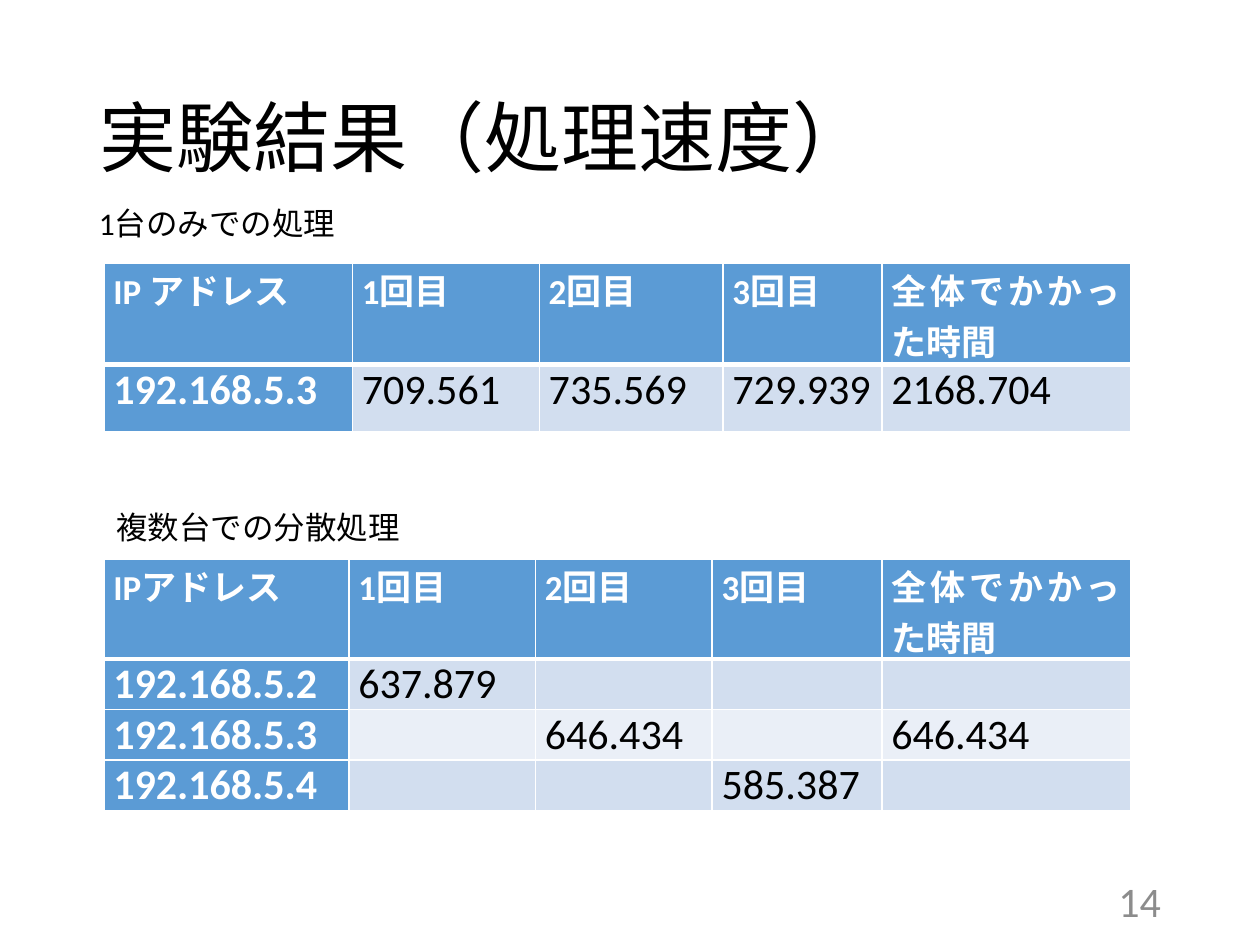
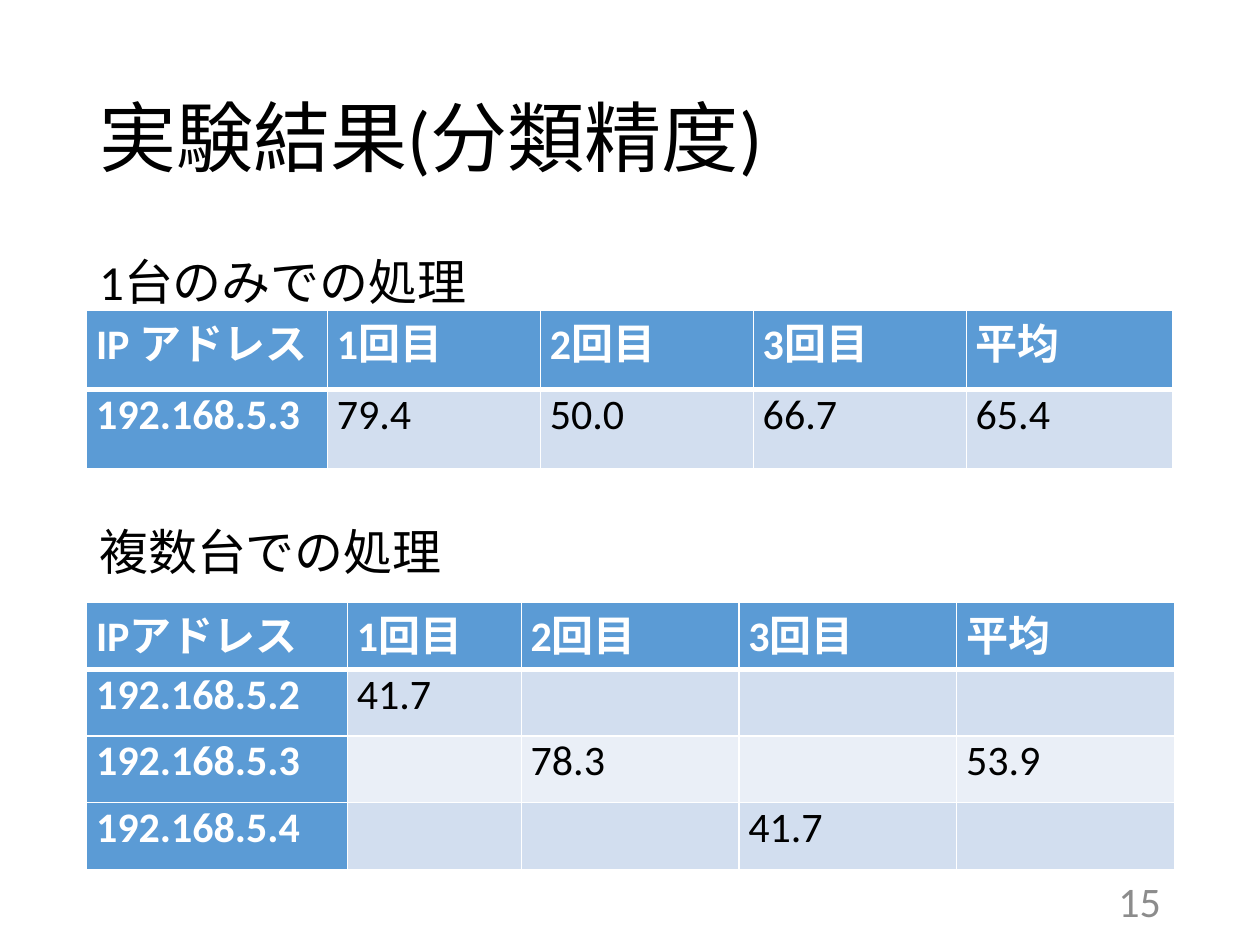
import pptx
import pptx.util
import pptx.dml.color
import pptx.enum.text
import pptx.oxml
import pptx.oxml.ns
from lxml import etree

Pt = pptx.util.Pt
RGB = pptx.dml.color.RGBColor
ALIGN = pptx.enum.text.PP_ALIGN
ANCHOR = pptx.enum.text.MSO_ANCHOR
AUTOSIZE = pptx.enum.text.MSO_AUTO_SIZE
qn = pptx.oxml.ns.qn

BLACK = RGB(0x00, 0x00, 0x00)
WHITE = RGB(0xFF, 0xFF, 0xFF)
GREY = RGB(0x8C, 0x8C, 0x8C)
BLUE = RGB(0x5B, 0x9B, 0xD5)
BANDS = [RGB(0xD2, 0xDE, 0xEF), RGB(0xEA, 0xEF, 0xF7)]
FONT = "Calibri"

TITLE_BOX = (49.5, 28.8, 621, 104.4)
BODY_BOX = (49.5, 143.8, 621, 342.6)
NUMBER_BOX = (508.5, 500.5, 162, 28.8)
TRIALS = ["1回目", "2回目", "3回目"]


def style(p, size, color=BLACK, bold=False, align=ALIGN.LEFT):
    p.alignment = align
    for r in p.runs:
        r.font.name = FONT
        r.font.size = Pt(size)
        r.font.bold = bold
        r.font.color.rgb = color


def place(sp, box):
    sp.left, sp.top, sp.width, sp.height = [Pt(v) for v in box]


def add_title(s, text):
    sp = s.shapes.title
    place(sp, TITLE_BOX)
    tf = sp.text_frame
    tf.text = text
    tf.auto_size = AUTOSIZE.NONE
    tf.vertical_anchor = ANCHOR.MIDDLE
    tf.paragraphs[0].line_spacing = 0.9
    style(tf.paragraphs[0], 44)


def add_text(s, box, text, size, color=BLACK, align=ALIGN.LEFT, anchor=ANCHOR.TOP):
    tf = s.shapes.add_textbox(*[Pt(v) for v in box]).text_frame
    tf.word_wrap = True
    tf.vertical_anchor = anchor
    tf.text = text
    style(tf.paragraphs[0], size, color, align=align)


def add_number(s, number):
    add_text(s, NUMBER_BOX, str(number), 24, GREY, ALIGN.RIGHT, ANCHOR.MIDDLE)


def add_headings(s, headings):
    """Unbulleted body list; each entry is (text, space before)."""
    sp = s.placeholders[1]
    place(sp, BODY_BOX)
    tf = sp.text_frame
    tf.auto_size = AUTOSIZE.NONE
    tf.text = "\n".join(text for text, _ in headings)
    for p, (_, gap) in zip(tf.paragraphs, headings):
        p.line_spacing = 0.9
        p.space_before = Pt(gap)
        style(p, 28)
        pPr = p._p.get_or_add_pPr()
        pPr.set("marL", "0")
        pPr.set("indent", "0")
        etree.SubElement(pPr, qn("a:buNone"))


def set_borders(cell, top, bottom):
    tcPr = cell._tc.get_or_add_tcPr()
    for side, width in (("L", 1), ("R", 1), ("T", top), ("B", bottom)):
        ln = etree.SubElement(tcPr, qn("a:ln" + side), w=str(Pt(width)))
        fill = etree.SubElement(ln, qn("a:solidFill"))
        etree.SubElement(fill, qn("a:srgbClr"), val=str(WHITE))


def add_result_table(s, left, top, widths, heights, rows, head_size):
    table = s.shapes.add_table(len(rows), len(widths), Pt(left), Pt(top),
                               Pt(sum(widths)), Pt(sum(heights))).table
    table.first_col = True
    for col, width in zip(table.columns, widths):
        col.width = Pt(width)
    for i, (row, height) in enumerate(zip(rows, heights)):
        table.rows[i].height = Pt(height)
        for j, text in enumerate(row):
            cell = table.cell(i, j)
            cell.margin_left = cell.margin_right = Pt(5.4)
            cell.margin_top = cell.margin_bottom = 0
            # A thick rule divides the header from the values
            set_borders(cell, 3 if i == 1 else 1, 3 if i == 0 else 1)
            heading = i == 0 or j == 0
            cell.fill.solid()
            cell.fill.fore_color.rgb = BLUE if heading else BANDS[(i - 1) % 2]
            cell.text_frame.text = text
            style(cell.text_frame.paragraphs[0], head_size if i == 0 else 24,
                  WHITE if heading else BLACK, heading, ALIGN.JUSTIFY)


def distributed_rows(last_head, values, overall):
    """One trial per machine, with the overall value beside the second."""
    rows = [["IPアドレス", *TRIALS, last_head]]
    for i, value in enumerate(values):
        row = [f"192.168.5.{i + 2}", "", "", "", ""]
        row[i + 1] = value
        rows.append(row)
    rows[2][4] = overall
    return rows


def single_rows(last_head, values):
    return [["IP アドレス", *TRIALS, last_head], ["192.168.5.3", *values]]


def speed_slide(prs):
    s = prs.slides.add_slide(prs.slide_layouts[5])
    add_title(s, "実験結果（処理速度）")
    add_number(s, 14)
    total = "全体でかかった時間"
    add_text(s, (49.5, 113, 587, 29), "1台のみでの処理", 18)
    add_result_table(s, 59.4, 150.6, [142, 106.8, 105, 90.8, 142], [57.8, 38.6],
                     single_rows(total, ["709.561", "735.569", "729.939", "2168.704"]), 20)
    add_text(s, (59.4, 287, 577, 29), "複数台での分散処理", 18)
    add_result_table(s, 59.4, 319.8, [140, 106.6, 101, 97, 142], [56.8] + [28.6] * 3,
                     distributed_rows(total, ["637.879", "646.434", "585.387"], "646.434"), 20)


def accuracy_slide(prs):
    s = prs.slides.add_slide(prs.slide_layouts[1])
    add_title(s, "実験結果(分類精度)")
    add_headings(s, [("1台のみでの処理", 10), ("複数台での処理", 124)])
    add_number(s, 15)
    mean = "平均"
    add_result_table(s, 49.5, 177.4, [137.6] + [121.7] * 3 + [118], [45.2] * 2,
                     single_rows(mean, ["79.4", "50.0", "66.7", "65.4"]), 24)
    add_result_table(s, 49.5, 344.4, [149, 99.4] + [124.4] * 3, [38.1] * 4,
                     distributed_rows(mean, ["41.7", "78.3", "41.7"], "53.9"), 24)


prs = pptx.Presentation()
prs.slide_width, prs.slide_height = Pt(720), Pt(540)
speed_slide(prs)
accuracy_slide(prs)
# Drop any placeholder left empty
for s in prs.slides:
    for sp in list(s.placeholders):
        if not sp.text_frame.text:
            sp._element.getparent().remove(sp._element)
prs.save("out.pptx")
